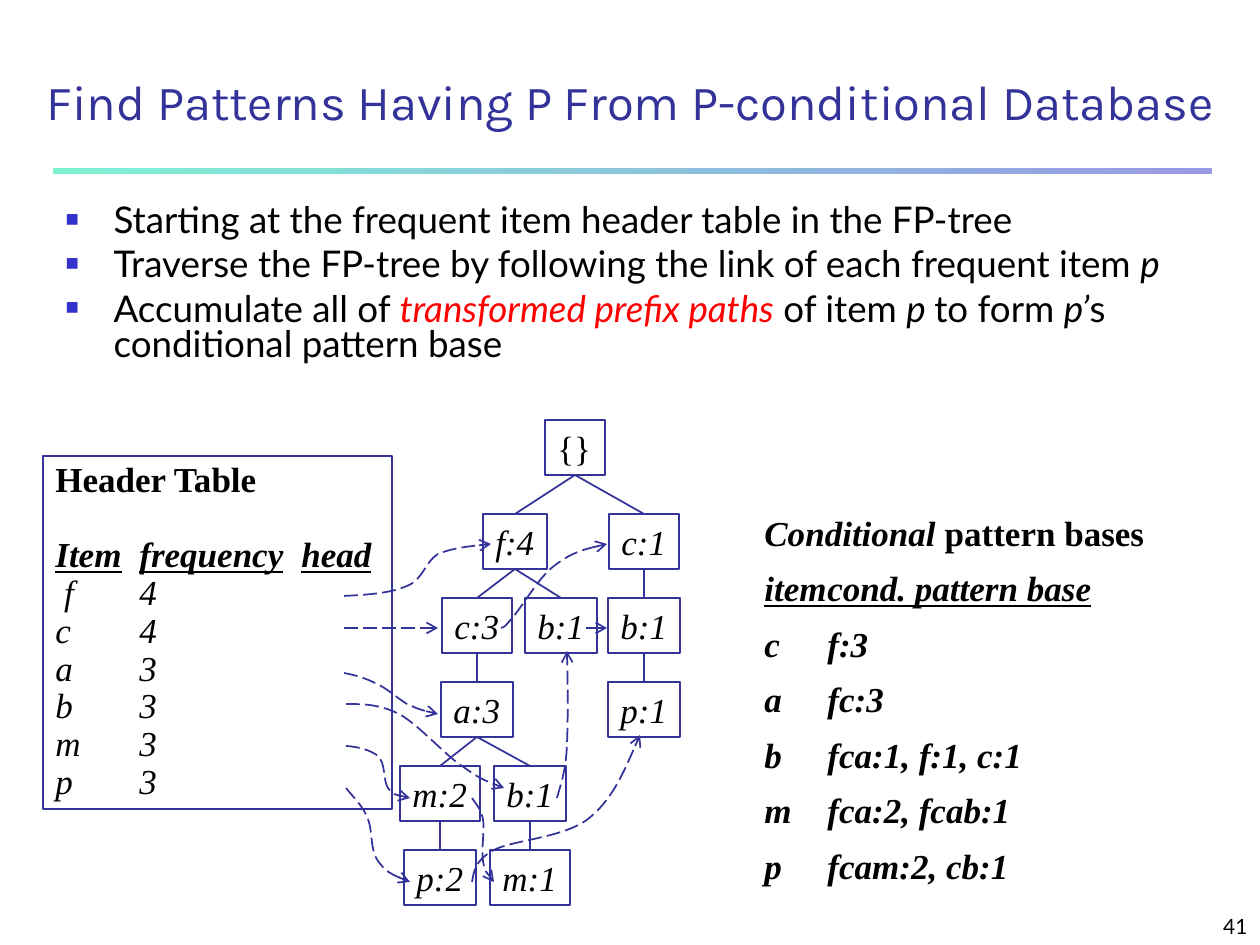
from lxml.etree import SubElement
from pptx import Presentation
from pptx.dml.color import RGBColor
from pptx.enum.dml import MSO_LINE
from pptx.enum.shapes import MSO_CONNECTOR, MSO_SHAPE
from pptx.enum.text import MSO_ANCHOR, MSO_AUTO_SIZE, PP_ALIGN
from pptx.oxml.ns import qn
from pptx.util import Inches, Pt

COLORS = {"ink": "000000", "navy": "333399", "bullet": "3333CC", "accent": "FF0000",
          "mint": "7FF1D3", "lilac": "9999E5"}
SERIF, SANS, HEADING = "Times New Roman", "Lato", "Karla"
PX = 914400 / 126
NODE_HEIGHT = 55


def px(length):
    return round(length * PX)


def rgb(name):
    return RGBColor.from_string(COLORS[name])


def write(paragraph, text, size=20, font=SERIF, color="ink", bold=False, italic=False, underline=False):
    run = paragraph.add_run()
    run.text = text
    style = run.font
    style.size, style.name = Pt(size), font
    style.bold, style.italic, style.underline = bold, italic, underline
    style.color.rgb = rgb(color)


class TreeSlide:
    """Holds the style and the current slide, and draws each kind of element."""

    def __init__(self, deck):
        self.slide = deck.slides.add_slide(deck.slide_layouts[1])
        self.shapes = self.slide.shapes

    def place(self, holder, x, y, width, height):
        holder.left, holder.top = px(x), px(y)
        holder.width, holder.height = px(width), px(height)
        frame = holder.text_frame
        frame.word_wrap, frame.auto_size = True, MSO_AUTO_SIZE.NONE
        return frame

    def title(self, text, *box):
        frame = self.place(self.shapes.title, *box)
        frame.vertical_anchor = MSO_ANCHOR.BOTTOM
        heading = frame.paragraphs[0]
        heading.alignment, heading.line_spacing = PP_ALIGN.CENTER, 0.9
        write(heading, text, size=28, font=HEADING, color="navy")

    def bullets(self, items, *box):
        frame = self.place(self.slide.placeholders[1], *box)
        for index, pieces in enumerate(items):
            item = frame.add_paragraph() if index else frame.paragraphs[0]
            item.line_spacing, item.space_before = 0.8, Pt(5.2)
            for text, look in pieces:
                write(item, text, size=21, font=SANS, **look)
            props = item._p.get_or_add_pPr()
            props.set("marL", str(px(48)))
            props.set("indent", str(-px(48)))
            tint = SubElement(props, qn("a:buClr"))
            SubElement(tint, qn("a:srgbClr"), val=COLORS["bullet"])
            SubElement(props, qn("a:buSzPct"), val="60000")
            SubElement(props, qn("a:buChar"), char="■")

    def text(self, *box, anchor=MSO_ANCHOR.TOP):
        frame = self.place(self.shapes.add_textbox(0, 0, 0, 0), *box)
        frame.vertical_anchor = anchor
        return frame

    def rule(self, *box):
        bar = self.shapes.add_shape(MSO_SHAPE.RECTANGLE, *map(px, box))
        bar.shadow.inherit = False
        bar.line.fill.background()
        bar.fill.gradient()
        bar.fill.gradient_angle = 0
        for stop, color in zip(bar.fill.gradient_stops, ("mint", "lilac")):
            stop.color.rgb = rgb(color)

    def outline(self, shape):
        shape.line.color.rgb, shape.line.width = rgb("navy"), Pt(1)

    def box(self, *box):
        panel = self.shapes.add_shape(MSO_SHAPE.RECTANGLE, *map(px, box))
        panel.shadow.inherit = False
        panel.fill.background()
        self.outline(panel)
        frame = panel.text_frame
        frame.vertical_anchor = MSO_ANCHOR.TOP
        frame.paragraphs[0].alignment = PP_ALIGN.LEFT
        return frame

    def node(self, label, x, y, width):
        frame = self.box(x, y, width, NODE_HEIGHT)
        frame.word_wrap = False
        write(frame.paragraphs[0], label, italic=label != "{}")

    def line(self, *ends, arrow=False):
        link = self.shapes.add_connector(MSO_CONNECTOR.STRAIGHT, *map(px, ends))
        self.outline(link)
        if arrow:
            self.dash(link)
        SubElement(link._element.spPr, qn("a:effectLst"))

    def dash(self, shape):
        shape.line.dash_style = MSO_LINE.LONG_DASH
        SubElement(shape.line._get_or_add_ln(), qn("a:tailEnd"), type="arrow")

    def curve(self, start, *controls):
        builder = self.shapes.build_freeform(*start, scale=PX)
        builder.add_line_segments(controls, close=False)
        link = builder.convert_to_shape()
        link.shadow.inherit = False
        link.fill.background()
        self.outline(link)
        self.dash(link)
        steps = list(link._element.iter(qn("a:lnTo")))
        outline = steps[0].getparent()
        for first in range(0, len(steps), 3):
            bend = SubElement(outline, qn("a:cubicBezTo"))
            for step in steps[first:first + 3]:
                bend.append(step[0])
                outline.remove(step)


BULLETS = [
    [("Starting at the frequent item header table in the FP-tree", {})],
    [("Traverse the FP-tree by following the link of each frequent item ", {}), ("p", {"italic": True})],
    [("Accumulate all of ", {}), ("transformed prefix paths", {"italic": True, "color": "accent"}),
     (" of item ", {}), ("p ", {"italic": True}), ("to form ", {}), ("p’", {"italic": True}),
     ("s conditional pattern base", {})],
]
PATTERN_BASES = ["item\tcond. pattern base", "c\tf:3", "a\tfc:3", "b\tfca:1, f:1, c:1",
                 "m\tfca:2, fcab:1", "p\tfcam:2, cb:1"]
FREQUENCIES = [" f\t4", "c\t4", "a\t3", "b\t3", "m\t3", "p\t3"]
LEVELS = [420] + [514 + 84 * level for level in range(5)]
NODES = {
    "root": ("{}", 545, 0, 60), "f": ("f:4", 483, 1, 64), "c right": ("c:1", 609, 1, 70),
    "c": ("c:3", 442, 2, 70), "b middle": ("b:1", 525, 2, 72), "b right": ("b:1", 608, 2, 72),
    "a": ("a:3", 441, 3, 72), "p right": ("p:1", 608, 3, 72), "m": ("m:2", 400, 4, 80),
    "b": ("b:1", 494, 4, 72), "p": ("p:2", 404, 5, 72), "m low": ("m:1", 490, 5, 80),
}
BRANCHES = [("root", "f"), ("root", "c right"), ("c right", "b right"), ("b right", "p right"),
            ("f", "c"), ("f", "b middle"), ("c", "a"), ("a", "m"), ("a", "b"), ("m", "p"), ("b", "m low")]
NODE_LINKS = [
    [(344, 596), (368, 595), (392, 593), (407, 586), (423, 580), (425, 562), (438, 554), (454, 548), (472, 546), (491, 544)],
    [(501, 628), (503, 628), (504, 628), (513, 617), (522, 607), (539, 577), (554, 566), (571, 553), (588, 548), (607, 544)],
    [(344, 673), (355, 675), (365, 678), (375, 683), (387, 688), (397, 698), (407, 704), (418, 709), (428, 712), (438, 714)],
    [(346, 704), (363, 704), (379, 704), (399, 714), (418, 724), (445, 755), (462, 766), (480, 779), (491, 783), (504, 788)],
    [(557, 798), (561, 784), (566, 770), (567, 746), (568, 721), (568, 687), (567, 651)],
    [(346, 746), (359, 747), (370, 750), (378, 756), (386, 764), (383, 780), (388, 788), (393, 795), (402, 797), (410, 798)],
    [(472, 798), (476, 804), (481, 809), (483, 819), (485, 829), (481, 850), (483, 861), (485, 872), (489, 877), (494, 882)],
    [(346, 788), (354, 798), (363, 806), (368, 819), (373, 832), (370, 850), (378, 861), (386, 872), (397, 877), (410, 882)],
    [(472, 882), (474, 872), (474, 861), (494, 850), (513, 840), (563, 838), (588, 819), (612, 800), (626, 767), (640, 735)],
]


def main():
    deck = Presentation()
    deck.slide_width, deck.slide_height = Inches(10), Inches(7.5)
    page = TreeSlide(deck)
    page.rule(53, 168, 1159, 6)
    number = page.text(998, 892, 262, 53, anchor=MSO_ANCHOR.BOTTOM).paragraphs[0]
    number.alignment = PP_ALIGN.RIGHT
    write(number, "41", size=12, font=SANS)
    page.title("Find Patterns Having P From P-conditional Database", 0, 42, 1260, 95)
    page.bullets(BULLETS, 53, 199, 1155, 210)

    bases = page.text(752, 505, 459, 388)
    caption = bases.paragraphs[0]
    caption.space_before = Pt(12.5)
    write(caption, "Conditional ", bold=True, italic=True)
    write(caption, "pattern bases", bold=True)
    for index, entry in enumerate(PATTERN_BASES):
        row = bases.add_paragraph()
        row.line_spacing, row.space_before = 0.8, Pt(12.5)
        for part, text in enumerate(entry.partition("\t")):
            write(row, text, bold=True, italic=True, underline=index == 0 and part != 1)

    for label, x, level, width in NODES.values():
        page.node(label, x, LEVELS[level], width)
    for parent, child in BRANCHES:
        (_, x1, level1, width1), (_, x2, level2, width2) = NODES[parent], NODES[child]
        page.line(x1 + width1 // 2, LEVELS[level1] + NODE_HEIGHT, x2 + width2 // 2, LEVELS[level2])

    header = page.box(43, 456, 349, 353)
    heading = header.paragraphs[0]
    heading.line_spacing, heading.space_after = 0.9, Pt(21.5)
    write(heading, "Header Table", bold=True)
    columns = header.add_paragraph()
    write(columns, "Item\tfrequency\thead ", bold=True, italic=True, underline=True)
    stops = SubElement(columns._p.get_or_add_pPr(), qn("a:tabLst"))
    for offset in (84, 246):
        SubElement(stops, qn("a:tab"), pos=str(px(offset)), algn="l")
    for entry in FREQUENCIES:
        write(header.add_paragraph(), entry, italic=True)
    for row in header.paragraphs[1:]:
        row.alignment, row.line_spacing = PP_ALIGN.LEFT, 0.9

    for controls in NODE_LINKS:
        page.curve(*controls)
    for start, end in ((344, 438), (586, 607)):
        page.line(start, 628, end, 628, arrow=True)
    deck.save("out.pptx")


if __name__ == "__main__":
    main()
